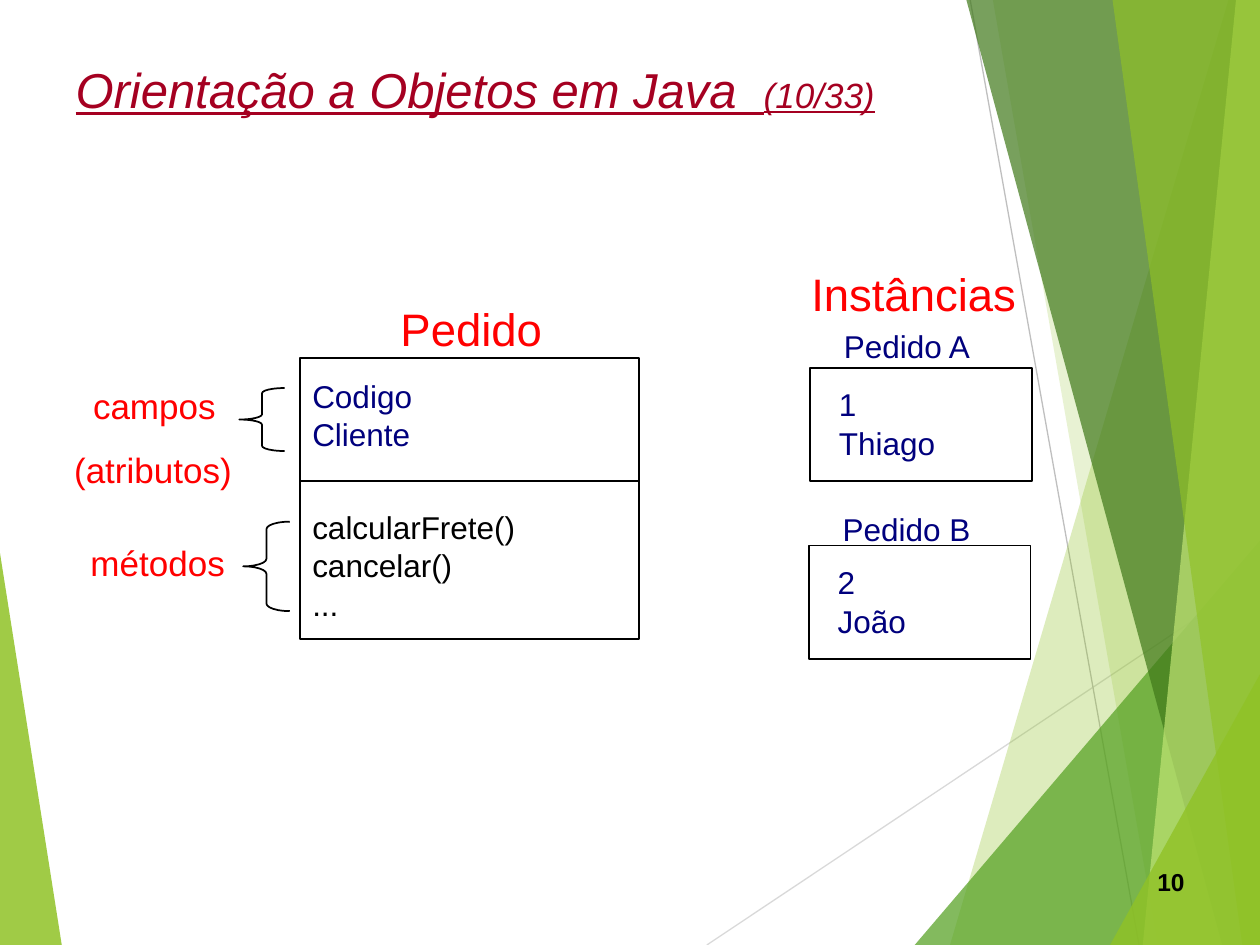
from dataclasses import dataclass

from lxml import etree
from pptx import Presentation
from pptx.dml.color import RGBColor
from pptx.enum import shapes, text
from pptx.oxml import ns
from pptx.util import Inches, Pt


@dataclass(frozen=True)
class Theme:
    """Colours and type sizes of the deck."""
    font: str = "Arial"
    title: str = "A50021"
    label: str = "FF0000"
    value: str = "00007D"
    ink: str = "000000"
    lime: str = "90C226"
    green: str = "54A021"
    forest: str = "3F7819"
    pale: str = "C0E474"
    light_rule: str = "D9D9D9"
    rule: str = "BFBFBF"
    title_size: int = 28
    heading_size: int = 26
    label_size: int = 20
    body_size: int = 18
    number_size: int = 14


@dataclass(frozen=True)
class Box:
    """A region of the page, in inches."""
    left: float
    top: float
    width: float
    height: float

    def inner(self, dx, dy, width, height):
        """Return a box offset from this one."""
        return Box(self.left + dx, self.top + dy, width, height)

    def lengths(self):
        """Return left, top, width and height as lengths."""
        return [Inches(v) for v in (self.left, self.top, self.width, self.height)]


THEME = Theme()


def style(span, size, color):
    """Set the font, size and colour of a run."""
    span.font.name = THEME.font
    span.font.size = Pt(size)
    span.font.color.rgb = RGBColor.from_string(color)


def add_text(page, box, lines, size, color, before=0, spacing=None):
    """Add a text box with one paragraph for each line."""
    frame = page.shapes.add_textbox(*box.lengths()).text_frame
    frame.word_wrap = True
    frame.text = "\n".join(lines)
    for para in frame.paragraphs:
        para.space_before = Pt(before)
        para.line_spacing = spacing
        for span in para.runs:
            style(span, size, color)
    return frame


def add_heading(page, box, line):
    """Add a large red heading."""
    add_text(page, box, [line], THEME.heading_size, THEME.label, 16.2)


def add_label(page, box, lines):
    """Add red labels beside a brace."""
    return add_text(page, box, lines, THEME.label_size, THEME.label, 12.5)


def add_body(page, box, lines, color=THEME.value):
    """Add tightly set member or value lines."""
    add_text(page, box, lines, THEME.body_size, color, 11.2, 0.5)


def add_outline(page, kind, box):
    """Add an unfilled black outline."""
    shape = page.shapes.add_shape(kind, *box.lengths())
    shape.shadow.inherit = False
    shape.fill.background()
    shape.line.color.rgb = RGBColor.from_string(THEME.ink)
    shape.line.width = Pt(1)
    return shape


def add_line(page, start, end, color, width):
    """Add a straight line between two points."""
    ends = [Inches(v) for v in (*start, *end)]
    line = page.shapes.add_connector(shapes.MSO_CONNECTOR.STRAIGHT, *ends)
    line.line.color.rgb = RGBColor.from_string(color)
    line.line.width = Pt(width)
    etree.SubElement(line._element.spPr, ns.qn("a:effectLst"))


def add_facet(page, points, color, opacity):
    """Add a translucent polygon."""
    corners = [(Inches(x), Inches(y)) for x, y in points]
    builder = page.shapes.build_freeform(*corners[0])
    builder.add_line_segments(corners[1:], close=True)
    facet = builder.convert_to_shape()
    facet.shadow.inherit = False
    facet.line.fill.background()
    facet.fill.solid()
    facet.fill.fore_color.rgb = RGBColor.from_string(color)
    tint = facet._element.spPr.find(".//" + ns.qn("a:srgbClr"))
    etree.SubElement(tint, ns.qn("a:alpha"), val=str(opacity * 1000))


def add_backdrop(page, box):
    """Draw the green facets and thin rules around the edges."""
    right, bottom = box.left + box.width, box.top + box.height
    add_facet(page, [(0, 4.39), (0.49, bottom), (0, bottom)], THEME.lime, 85)
    add_line(page, (5.61, bottom), (right, 4.57), THEME.light_rule, 0.75)
    add_line(page, (7.7, 0), (9.04, bottom), THEME.rule, 0.75)
    facets = [
        (9.75, 0, 7.54, THEME.lime, 30),
        (7.88, 0, 9.19, THEME.lime, 20),
        (right, 4.29, 7.26, THEME.green, 72),
        (7.67, 0, 9.7, THEME.forest, 70),
        (9.81, 0, 9.07, THEME.pale, 70),
        (8.83, 0, 9.86, THEME.lime, 65),
        (right, 5.35, 8.81, THEME.lime, 80),
    ]
    for upper, top, lower, color, opacity in facets:
        points = [(upper, top), (lower, bottom), (right, bottom), (right, top)]
        add_facet(page, points, color, opacity)


def add_title(page, box):
    """Fill the title placeholder and bring it to the front."""
    title = page.shapes.title
    title.left, title.top, title.width, title.height = box.lengths()
    frame = title.text_frame
    frame.auto_size = text.MSO_AUTO_SIZE.NONE
    frame.vertical_anchor = text.MSO_ANCHOR.TOP
    para = frame.paragraphs[0]
    para.alignment = text.PP_ALIGN.LEFT
    parts = [("Orientação a Objetos em Java  ", THEME.title_size),
             ("(10/33)", THEME.label_size)]
    for words, size in parts:
        span = para.add_run()
        span.text = words
        style(span, size, THEME.title)
        span.font.italic = span.font.underline = True
    page.shapes._spTree.append(title._element)


def add_class(page, box):
    """Draw the class with its fields, methods and braces."""
    add_outline(page, shapes.MSO_SHAPE.RECTANGLE, box)
    add_heading(page, box.inner(0.7, -0.5, box.width, 0.54), "Pedido")
    add_body(page, box.inner(0, 0.23, box.width, 0.89), ["Codigo", "Cliente"])
    middle = box.top + 0.98
    add_line(page, (box.left, middle), (box.left + box.width, middle), THEME.ink, 1)
    methods = ["calcularFrete()", "cancelar()", "..."]
    add_body(page, box.inner(0, 1.27, box.width, 0.89), methods, THEME.ink)
    braces = [(-0.48, 0.24, 0.36, 0.5, 0.115), (-0.45, 1.3, 0.37, 0.71, 0.161)]
    for *place, curve in braces:
        brace = add_outline(page, shapes.MSO_SHAPE.LEFT_BRACE, box.inner(*place))
        brace.adjustments[0] = curve
    fields = add_label(page, box.inner(-1.89, 0.16, 1.5, 0.94), ["campos", "(atributos)"])
    fields.paragraphs[0]._p.get_or_add_pPr().set("marL", str(Inches(0.15)))
    add_label(page, box.inner(-1.76, 1.41, 1.4, 0.44), ["métodos"])


def add_instance(page, box, name, values, name_rise):
    """Draw one instance with its name above its values."""
    add_outline(page, shapes.MSO_SHAPE.RECTANGLE, box)
    add_body(page, box.inner(0.13, 0.22, box.width, 0.58), values)
    add_body(page, box.inner(0.17, -name_rise, box.width, 0.27), [name])


def add_number(page, box):
    """Add the page number."""
    frame = add_text(page, box, ["10"], THEME.number_size, THEME.ink)
    para = frame.paragraphs[0]
    para.alignment = text.PP_ALIGN.RIGHT
    para.runs[0].font.bold = True


def main():
    """Build and save the deck."""
    deck = Presentation()
    deck.slide_width, deck.slide_height = Inches(10), Inches(7.5)
    page = deck.slides.add_slide(deck.slide_layouts[5])
    add_backdrop(page, Box(0, 0, 10, 7.5))
    add_number(page, Box(7.17, 6.83, 2.33, 0.52))
    add_title(page, Box(0.5, 0.42, 7.8, 0.57))
    add_class(page, Box(2.38, 2.84, 2.69, 2.23))
    add_heading(page, Box(6.34, 2.06, 2.69, 0.54), "Instâncias")
    add_instance(page, Box(6.43, 2.92, 1.76, 0.9), "Pedido A", ["1", "Thiago"], 0.24)
    add_instance(page, Box(6.42, 4.33, 1.76, 0.9), "Pedido B", ["2", "João"], 0.2)
    deck.save("out.pptx")


if __name__ == "__main__":
    main()
